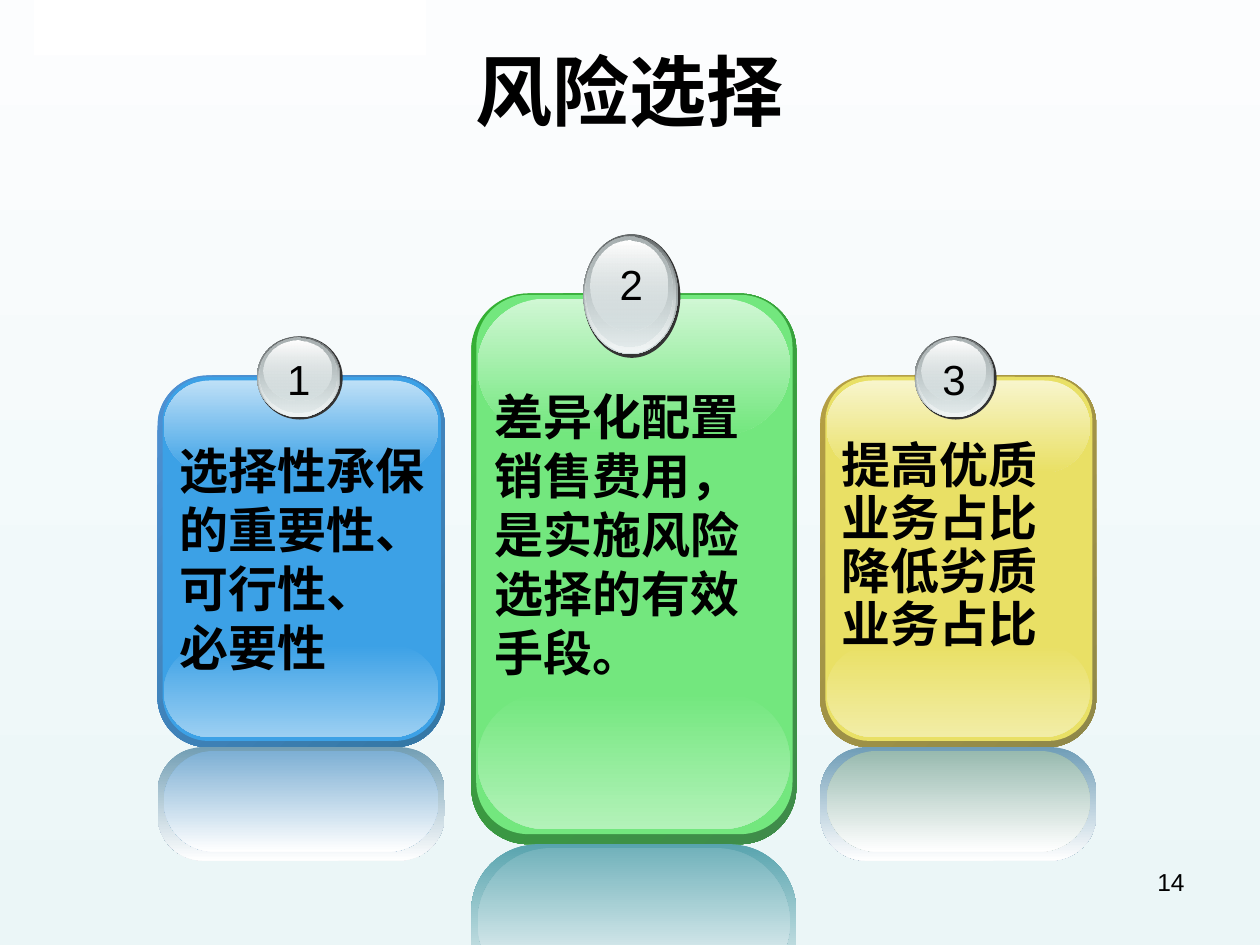
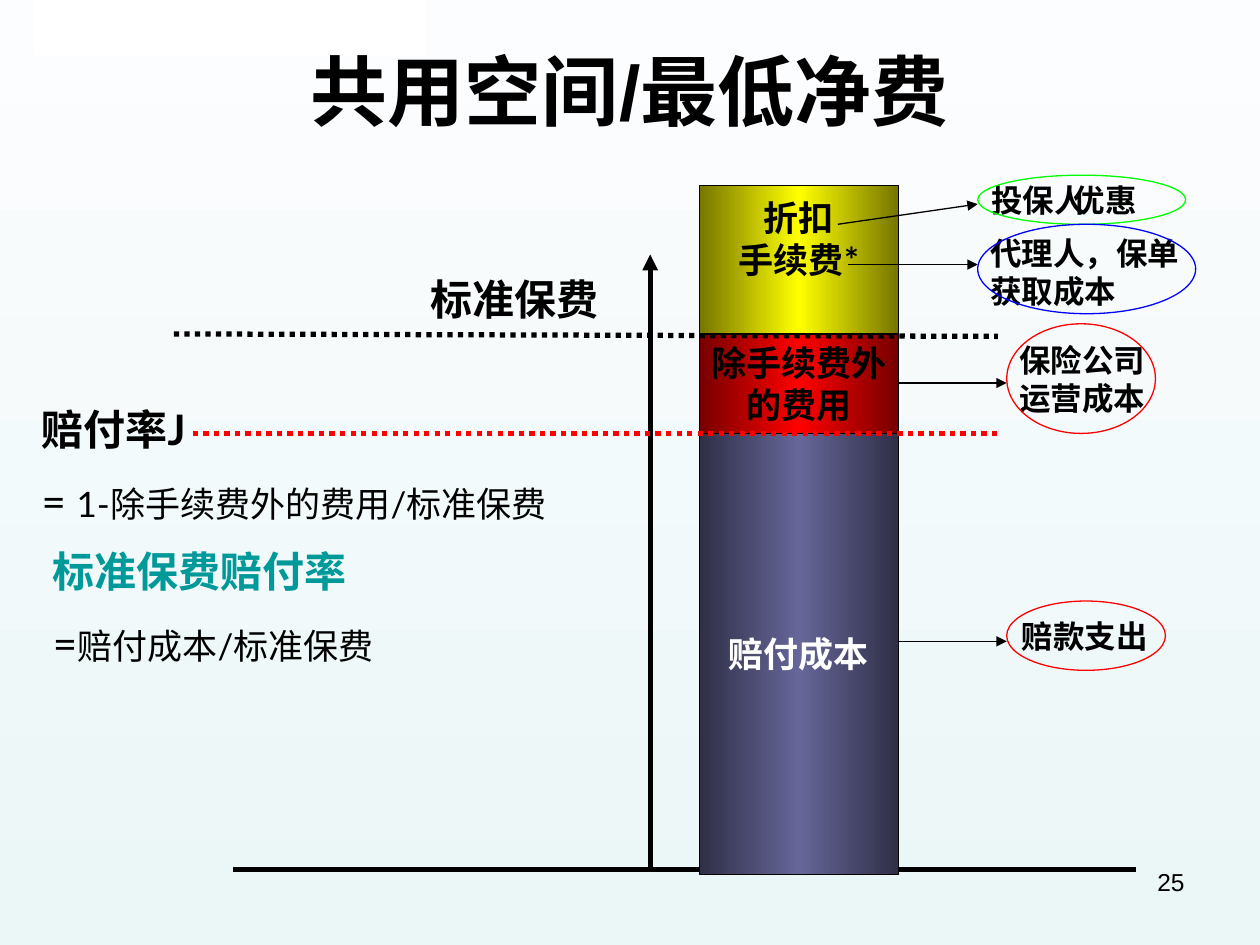
from dataclasses import dataclass, replace

from pptx import Presentation
from pptx.dml.color import RGBColor
from pptx.enum.dml import MSO_LINE
from pptx.enum.shapes import MSO_CONNECTOR, MSO_SHAPE
from pptx.enum.text import MSO_ANCHOR, PP_ALIGN
from pptx.oxml.ns import qn
from pptx.util import Emu, Pt
from lxml import etree

EMU_PER_PX = 9144
WIDTH, HEIGHT = 1000, 750

RECTANGLE = MSO_SHAPE.RECTANGLE
ROUNDED = MSO_SHAPE.ROUNDED_RECTANGLE
OVAL = MSO_SHAPE.OVAL
STRAIGHT = MSO_CONNECTOR.STRAIGHT
DOTTED = MSO_LINE.ROUND_DOT
TOP, MIDDLE = MSO_ANCHOR.TOP, MSO_ANCHOR.MIDDLE
LEFT, CENTER, RIGHT = PP_ALIGN.LEFT, PP_ALIGN.CENTER, PP_ALIGN.RIGHT

BLACK = RGBColor(0x00, 0x00, 0x00)
WHITE = RGBColor(0xFF, 0xFF, 0xFF)
RED = RGBColor(0xFF, 0x00, 0x00)
GREEN = RGBColor(0x00, 0xFF, 0x00)
BLUE = RGBColor(0x00, 0x00, 0xFF)
YELLOW = RGBColor(0xFF, 0xFF, 0x00)
TEAL = RGBColor(0x00, 0x99, 0x99)
SKY_TOP = RGBColor(0xFC, 0xFD, 0xFE)
SKY_BOTTOM = RGBColor(0xEB, 0xF6, 0xF7)
DARK_RED = RGBColor(0x76, 0x00, 0x00)
DARK_YELLOW = RGBColor(0x76, 0x76, 0x00)
INDIGO = RGBColor(0x66, 0x66, 0x99)
DARK_INDIGO = RGBColor(0x2F, 0x2F, 0x47)
BADGE_EDGE = RGBColor(0x33, 0x33, 0x33)
BADGE_DARK = RGBColor(0x63, 0x68, 0x69)
BADGE_MIDDLE = RGBColor(0xAA, 0xB2, 0xB3)
BADGE_SILVER = RGBColor(0xD6, 0xE1, 0xE2)
BADGE_LIGHT = RGBColor(0xF1, 0xF5, 0xF5)

STANDARD_INSETS = (10, 5, 10, 5)
NO_INSETS = (0, 0, 0, 0)

BADGE_LAYERS = (
    (0, 0, 0.97, 0.97, (BADGE_DARK, 100), (BADGE_SILVER, 100)),
    (0.015, 0.01, 0.94, 0.95, (BADGE_SILVER, 0), (BADGE_LIGHT, 100)),
    (0.03, 0.02, 0.9, 0.89, (BADGE_MIDDLE, 100), (BADGE_SILVER, 48)),
    (0.08, 0.05, 0.79, 0.72, (WHITE, 100), (BADGE_SILVER, 38)),
)


@dataclass(frozen=True)
class Style:
    size: int
    font: str = "Arial"
    color: RGBColor = BLACK
    bold: bool = True


@dataclass(frozen=True)
class Palette:
    base: RGBColor
    rim: tuple
    top_gloss: RGBColor
    bottom_gloss: RGBColor
    reflection: RGBColor
    inner_reflection: RGBColor


TITLE = Style(44)
CARD_TEXT = Style(28)
BADGE_TEXT = Style(24, bold=False)
PAGE_NUMBER = Style(14, bold=False)
CALLOUT = Style(18)
HEADING = Style(24, "Lato")
FORMULA = Style(20, "Lato", bold=False)
BAR_TEXT = Style(20, "Lato")

BLUE_CARD = Palette(
    RGBColor(0x3C, 0xA1, 0xE6), (RGBColor(0x4E, 0x91, 0xD4), RGBColor(0x34, 0x77, 0xA4)),
    RGBColor(0xBE, 0xE0, 0xF7), RGBColor(0x9B, 0xCF, 0xF2),
    RGBColor(0x72, 0x9E, 0xB4), RGBColor(0x7D, 0xAF, 0xD4))
GREEN_CARD = Palette(
    RGBColor(0x73, 0xE7, 0x7E), (RGBColor(0x34, 0xB0, 0x34), RGBColor(0x3F, 0x8B, 0x4A)),
    RGBColor(0xD0, 0xF7, 0xD4), RGBColor(0xB3, 0xF2, 0xB9),
    RGBColor(0x58, 0xA4, 0xAE), RGBColor(0x72, 0xB2, 0xBB))
YELLOW_CARD = Palette(
    RGBColor(0xE9, 0xE0, 0x65), (RGBColor(0xB5, 0x9F, 0x43), RGBColor(0x8F, 0x88, 0x49)),
    RGBColor(0xF8, 0xF5, 0xCC), RGBColor(0xF2, 0xED, 0xA6),
    RGBColor(0x6F, 0x9D, 0xB7), RGBColor(0x98, 0xBA, 0xAF))


def px(*lengths):
    return [Emu(round(length) * EMU_PER_PX) for length in lengths]


def paint_gradient(fill, element, angle, stops):
    fill.gradient()
    fill.gradient_angle = (360 - angle) % 360
    stop_list = next(element.iter(qn("a:gsLst")))
    for old_stop in list(stop_list):
        stop_list.remove(old_stop)
    for index, (color, opacity) in enumerate(stops):
        position = 100000 * index // (len(stops) - 1)
        stop = etree.SubElement(stop_list, qn("a:gs"), pos=str(position))
        color_element = etree.SubElement(stop, qn("a:srgbClr"), val=str(color))
        if opacity < 100:
            etree.SubElement(color_element, qn("a:alpha"), val=str(opacity * 1000))


def solid_stops(*colors):
    return [(color, 100) for color in colors]


def add_shape(shapes, kind, box, color=None, stops=None, angle=90, outline=None, corner=None):
    shape = shapes.add_shape(kind, *px(*box))
    shape.shadow.inherit = False
    if corner is not None:
        shape.adjustments[0] = corner
    if stops:
        paint_gradient(shape.fill, shape.element, angle, stops)
    elif color is not None:
        shape.fill.solid()
        shape.fill.fore_color.rgb = color
    else:
        shape.fill.background()
    if outline is None:
        shape.line.fill.background()
    else:
        shape.line.color.rgb = outline
        shape.line.width = Pt(0.75)
    return shape


def write(shape, paragraphs, align=LEFT, anchor=TOP, insets=STANDARD_INSETS,
          wrap=True, gap=0, line_spacing=None):
    frame = shape.text_frame
    frame.word_wrap = wrap
    frame.vertical_anchor = anchor
    (frame.margin_left, frame.margin_top,
     frame.margin_right, frame.margin_bottom) = px(*insets)
    for index, runs in enumerate(paragraphs):
        paragraph = frame.add_paragraph() if index else frame.paragraphs[0]
        paragraph.alignment = align
        if index and gap:
            paragraph.space_before = Pt(gap)
        if line_spacing:
            paragraph.line_spacing = line_spacing
        for text, style in runs:
            for line_index, line in enumerate(text.split("\n")):
                if line_index:
                    paragraph.add_line_break()
                run = paragraph.add_run()
                run.text = line
                run.font.name = style.font
                run.font.size = Pt(style.size)
                run.font.bold = style.bold
                run.font.color.rgb = style.color


def add_text(shapes, box, paragraphs, **layout):
    write(shapes.add_textbox(*px(*box)), paragraphs, **layout)


def add_line(slide, start, end, color=BLACK, width=0.75, dash=None, arrow=False):
    line = slide.shapes.add_connector(STRAIGHT, *px(*start, *end))
    line.line.color.rgb = color
    line.line.width = Pt(width)
    if dash:
        line.line.dash_style = dash
    properties = line.element.spPr
    if arrow:
        etree.SubElement(properties.find(qn("a:ln")), qn("a:tailEnd"), type="triangle")
    etree.SubElement(properties, qn("a:effectLst"))


def add_slide(presentation, title, number):
    slide = presentation.slides.add_slide(presentation.slide_layouts[6])
    paint_gradient(slide.background.fill, slide.element, 90, solid_stops(SKY_TOP, SKY_BOTTOM))
    add_shape(slide.shapes, RECTANGLE, (27, 0, 311, 44), WHITE)
    add_text(slide.shapes, (50, 30, 900, 82), [[(title, TITLE)]], align=CENTER)
    add_text(slide.shapes, (717, 683, 233, 52), [[(number, PAGE_NUMBER)]], align=RIGHT)
    return slide


def add_badge(shapes, box, number, number_top):
    left, top, width, height = box
    add_shape(shapes, OVAL, box, BADGE_EDGE)
    for x, y, across, down, first, last in BADGE_LAYERS:
        layer = (left + x * width, top + y * height, across * width, down * height)
        add_shape(shapes, OVAL, layer, stops=(first, last))
    add_text(shapes, (left + width / 2 - 20, number_top, 38, 50),
             [[(number, BADGE_TEXT)]], align=CENTER, wrap=False)


def add_card(slide, box, palette, badge_box, number, number_top, text_box, text, line_spacing=None):
    shapes = slide.shapes.add_group_shape().shapes
    left, top, width, height = box
    bottom = top + height
    gloss_height = 0.247 * height
    gloss_left, gloss_width = left + 5, width - 10
    add_shape(shapes, ROUNDED, box, stops=solid_stops(*palette.rim), angle=45, corner=0.175)
    add_shape(shapes, ROUNDED, (left + 4, top + 1, width - 7, 0.98 * height),
              palette.base, corner=0.165)
    layers = (
        (gloss_left, bottom - 0.027 * height - gloss_height, gloss_width, gloss_height, 0.5,
         palette.base, palette.bottom_gloss),
        (gloss_left, top + 4, gloss_width, gloss_height, 0.5, palette.top_gloss, palette.base),
        (left, bottom, width, 0.305 * height, 0.4, palette.reflection, WHITE),
        (gloss_left, bottom + 3, gloss_width, 0.27 * height, 0.5,
         palette.inner_reflection, WHITE),
    )
    for *layer, corner, first, last in layers:
        add_shape(shapes, ROUNDED, layer, stops=solid_stops(first, last), corner=corner)
    add_badge(shapes, badge_box, number, number_top)
    add_text(shapes, text_box, [[(text, CARD_TEXT)]], line_spacing=line_spacing)


def build_risk_selection(presentation):
    slide = add_slide(presentation, "风险选择", "14")
    add_card(slide, (125, 298, 228, 295), BLUE_CARD, (204, 267, 68, 66), "1", 276,
             (133, 345, 217, 197), "选择性承保的重要性、可行性、 必要性")
    add_card(slide, (374, 233, 258, 437), GREEN_CARD, (463, 186, 77, 98), "2", 200,
             (383, 302, 245, 244), "差异化配置销售费用，是实施风险选择的有效手段。")
    add_card(slide, (651, 298, 219, 295), YELLOW_CARD, (726, 267, 65, 66), "3", 276,
             (658, 345, 209, 178), "提高优质业务占比\n降低劣质业务占比", 0.9)


def add_bar(slide, top, height, edge, middle, paragraphs, insets=NO_INSETS):
    bar = add_shape(slide.shapes, RECTANGLE, (555, top, 158, height),
                    stops=solid_stops(edge, middle, edge), angle=0, outline=BLACK)
    write(bar, paragraphs, align=CENTER, anchor=MIDDLE, insets=insets)


def build_premium_structure(presentation):
    slide = add_slide(presentation, "共用空间/最低净费", "25")
    shapes = slide.shapes
    add_line(slide, (185, 690), (902, 690), width=3)
    add_line(slide, (516, 690), (516, 202), width=3, arrow=True)
    add_bar(slide, 344, 350, DARK_INDIGO, INDIGO,
            [[("赔付成本", replace(BAR_TEXT, color=WHITE))]])
    add_bar(slide, 265, 79, DARK_RED, RED, [[("除手续费外的费用", BAR_TEXT)]])

    add_text(shapes, (342, 217, 143, 40), [[("标准保费", Style(24))]], insets=NO_INSETS)
    equals = replace(HEADING, bold=False)
    formulas = (
        ((42, 433, 395, 91), "标准保费赔付率", TEAL, "=", "赔付成本/标准保费"),
        ((33, 320, 490, 71), "赔付率J", BLACK, "= ", "1-除手续费外的费用/标准保费"),
    )
    for box, name, color, sign, formula in formulas:
        add_text(shapes, box, [[(name, replace(HEADING, color=color))],
                               [(sign, equals), (formula, FORMULA)]],
                 insets=NO_INSETS, gap=12.5)

    add_line(slide, (153, 344), (791, 344), RED, 3, DOTTED)
    add_line(slide, (138, 265), (792, 267), BLACK, 3, DOTTED)
    add_bar(slide, 147, 118, DARK_YELLOW, YELLOW,
            [[("折扣", BAR_TEXT)], [("手续费*", BAR_TEXT)]], (10, 5, 10, 38))

    callouts = (
        ((777, 139, 100, 40), "投保人", False),
        ((801, 485, 125, 40), "赔款支出", False),
        ((799, 266, 126, 70), "保险公司运营成本", True),
        ((776, 181, 173, 70), "代理人，保单获取成本", True),
    )
    for box, text, wrap in callouts:
        add_text(shapes, box, [[(text, CALLOUT)]], anchor=MIDDLE, wrap=wrap)

    discount = add_shape(shapes, OVAL, (776, 139, 165, 39), outline=GREEN)
    write(discount, [[("优惠", CALLOUT)]], align=CENTER, anchor=MIDDLE, insets=(47, 0, 10, 0))
    for box, color in (((799, 477, 126, 55), RED), ((799, 257, 118, 87), RED),
                       ((776, 178, 173, 71), BLUE)):
        add_shape(shapes, OVAL, box, outline=color)

    for start, end in (((713, 304), (799, 304)), ((713, 509), (799, 509)),
                       ((673, 210), (776, 210)), ((665, 178), (776, 162))):
        add_line(slide, start, end, arrow=True)


def main():
    presentation = Presentation()
    presentation.slide_width, presentation.slide_height = px(WIDTH, HEIGHT)
    build_risk_selection(presentation)
    build_premium_structure(presentation)
    presentation.save("out.pptx")


if __name__ == "__main__":
    main()
